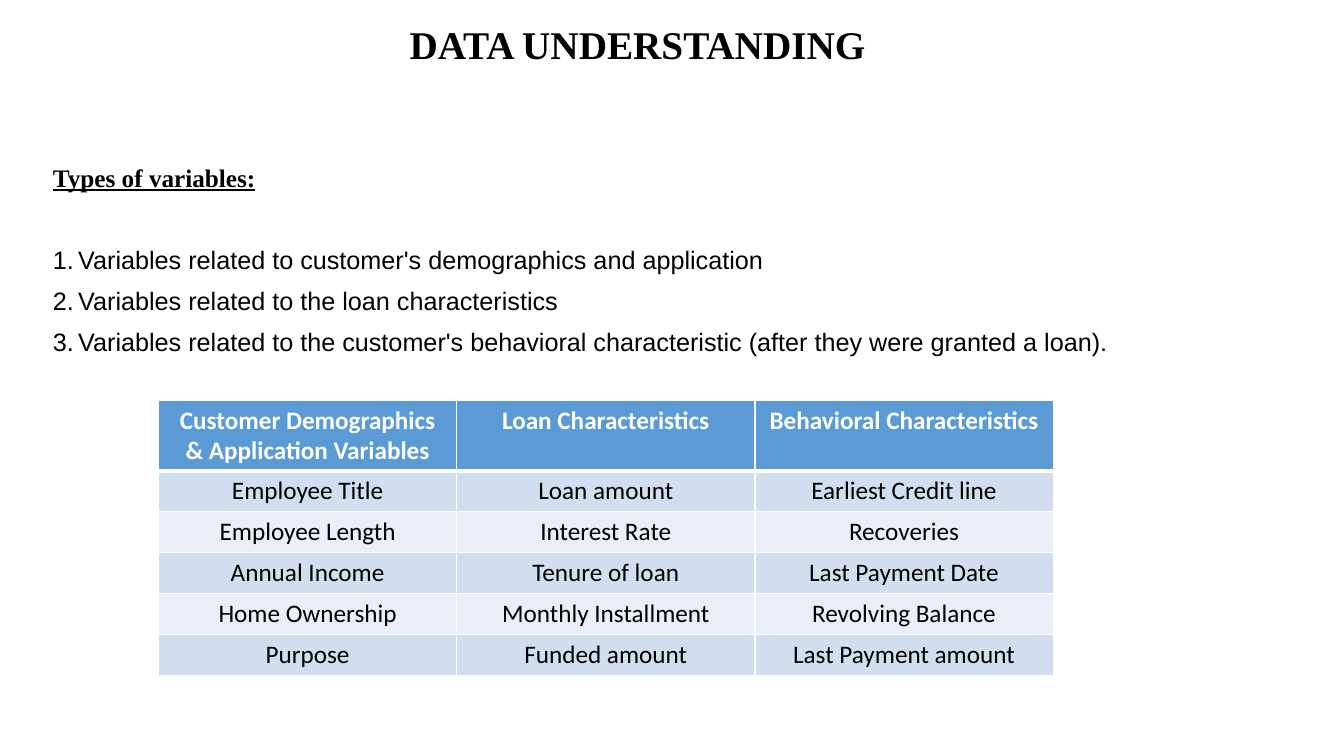
import pptx
import pptx.util
import pptx.dml.color
import pptx.enum.text
import pptx.oxml.ns
from lxml import etree

# Content
TITLE = "DATA UNDERSTANDING"
HEAD = "Types of variables:"
ITEMS = [
    "Variables related to customer's demographics and application",
    "Variables related to the loan characteristics",
    "Variables related to the customer's behavioral characteristic "
    "(after they were granted a loan).",
]
ROWS = [
    ("Customer Demographics & Application Variables",
     "Loan Characteristics", "Behavioral Characteristics"),
    ("Employee Title", "Loan amount", "Earliest Credit line"),
    ("Employee Length", "Interest Rate", "Recoveries"),
    ("Annual Income", "Tenure of loan", "Last Payment Date"),
    ("Home Ownership", "Monthly Installment", "Revolving Balance"),
    ("Purpose", "Funded amount", "Last Payment amount"),
]

# Style: 96 px to the inch
PX = 9525
RGB = pptx.dml.color.RGBColor
BLACK = RGB(0, 0, 0)
WHITE = RGB(255, 255, 255)
BLUE = RGB(0x5B, 0x9B, 0xD5)
BANDS = [RGB(0xEA, 0xEF, 0xF7), RGB(0xD2, 0xDE, 0xEF)]
SERIF = "Times New Roman"
Pt = pptx.util.Pt
CENTER = pptx.enum.text.PP_ALIGN.CENTER
MIDDLE = pptx.enum.text.MSO_ANCHOR.MIDDLE


def px(*nums):
    return [pptx.util.Emu(n * PX) for n in nums]


def node(root, tag, **attrs):
    return etree.SubElement(root, pptx.oxml.ns.qn(tag), attrs)


def style(para, text, size, face, color=BLACK, bold=False):
    para.text = text
    font = para.font
    font.size, font.name, font.bold = Pt(size), face, bold
    font.color.rgb = color


def frame(slide, *box):
    text = slide.shapes.add_textbox(*px(*box)).text_frame
    text.word_wrap = True
    return text


def number(para):
    props = para._p.get_or_add_pPr()
    indent = 24 * PX
    props.set("marL", str(indent))
    props.set("indent", str(-indent))
    node(props, "a:buFont", typeface="Arial")
    node(props, "a:buAutoNum", type="arabicPeriod")


def border(cell, low):
    props = cell._tc.get_or_add_tcPr()
    for side, width in (("L", 1), ("R", 1), ("T", 1), ("B", low)):
        line = node(props, "a:ln" + side, w=str(Pt(width)))
        node(node(line, "a:solidFill"), "a:srgbClr", val=str(WHITE))


deck = pptx.Presentation()
deck.slide_width, deck.slide_height = px(1280, 720)
slide = deck.slides.add_slide(deck.slide_layouts[6])

# Title
text = frame(slide, 118, 0, 978, 90)
text.vertical_anchor = MIDDLE
para = text.paragraphs[0]
style(para, TITLE, 28, SERIF, bold=True)
para.alignment, para.line_spacing = CENTER, 0.9

# Heading and numbered list
text = frame(slide, 41, 153, 1172, 529)
para = text.paragraphs[0]
style(para, HEAD, 18, SERIF, bold=True)
para.font.underline = True
para.line_spacing, para.space_before = 0.9, Pt(10)
for i, item in enumerate(ITEMS):
    para = text.add_paragraph()
    style(para, item, 18, "Arial")
    para.line_spacing = 0.9
    para.space_before = Pt(10 if i else 39)
    number(para)

# Table
WIDE, HIGH, TOP = 284, 39, 67
count = len(ROWS[0])
box = px(151, 381, WIDE * count, TOP + HIGH * (len(ROWS) - 1))
table = slide.shapes.add_table(len(ROWS), count, *box).table
for col in table.columns:
    col.width = px(WIDE)[0]
for i, row in enumerate(ROWS):
    first = i == 0
    table.rows[i].height = px(TOP if first else HIGH)[0]
    for j, word in enumerate(row):
        cell = table.cell(i, j)
        border(cell, 3 if i < 2 and first else 1)
        cell.fill.solid()
        cell.fill.fore_color.rgb = BLUE if first else BANDS[i % 2]
        para = cell.text_frame.paragraphs[0]
        style(para, word, 18, "Calibri", WHITE if first else BLACK, first)
        para.alignment = CENTER
        if i == 1:
            edge = cell._tc.tcPr.find(pptx.oxml.ns.qn("a:lnT"))
            edge.set("w", str(Pt(3)))

deck.save("out.pptx")
